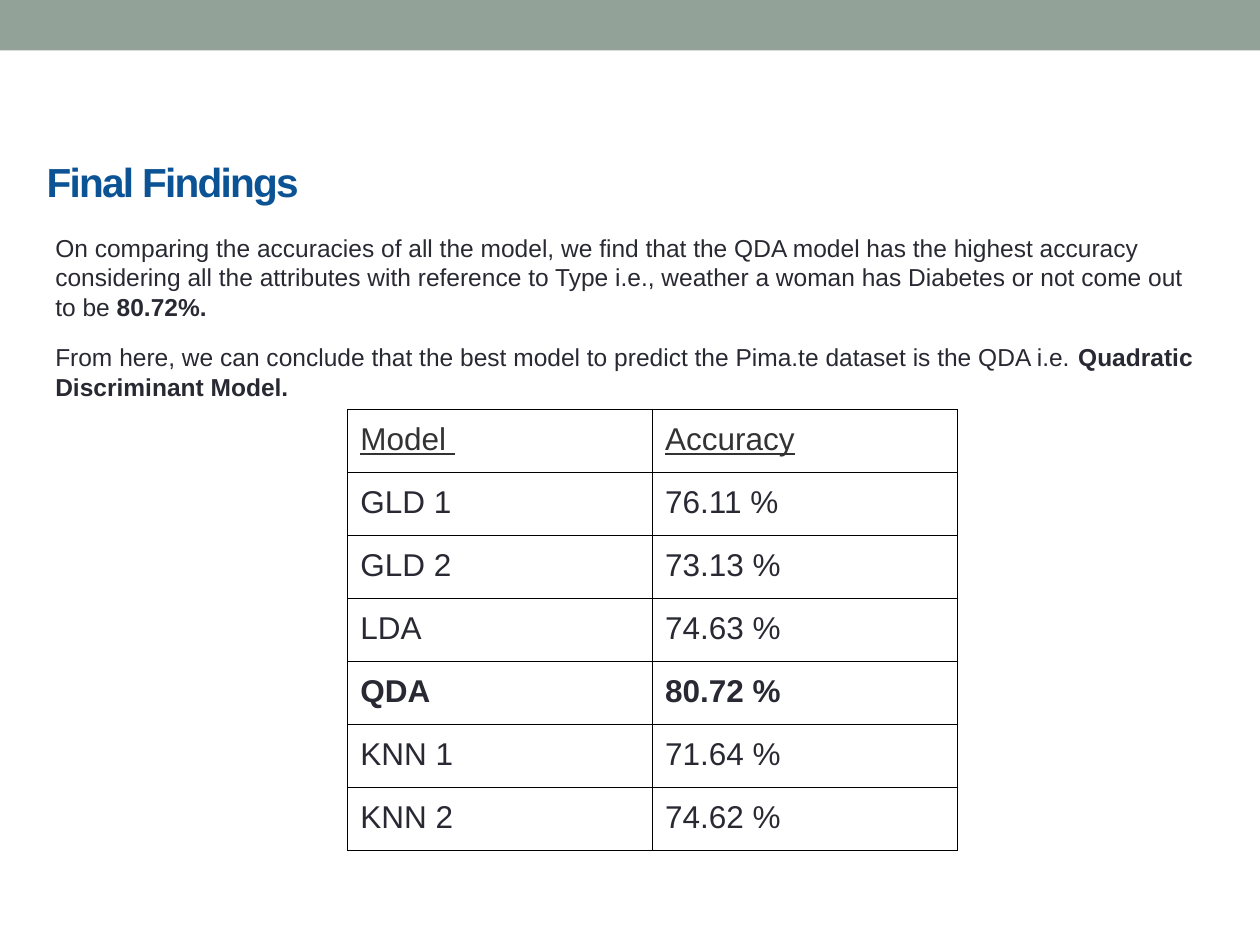
from dataclasses import dataclass

from lxml.etree import SubElement
from pptx import Presentation
from pptx.dml.color import RGBColor
from pptx.enum.shapes import MSO_SHAPE
from pptx.enum.text import MSO_ANCHOR, MSO_AUTO_SIZE, PP_ALIGN
from pptx.oxml.ns import qn
from pptx.util import Inches, Pt


@dataclass(frozen=True)
class Theme:
    font: str = "Arial"
    band: RGBColor = RGBColor(0x93, 0xA2, 0x99)
    title: RGBColor = RGBColor(0x0B, 0x53, 0x94)
    text: RGBColor = RGBColor(0x29, 0x29, 0x34)
    header: RGBColor = RGBColor(0x33, 0x33, 0x33)
    border: str = "000000"
    title_size: float = 23.2
    body_size: float = 14
    table_size: float = 18
    border_width: float = 0.75
    inset: float = 0.1


@dataclass(frozen=True)
class Finding:
    statement: str
    highlight: str


@dataclass(frozen=True)
class ModelRow:
    model: str
    accuracy: str
    bold: bool = False
    header: bool = False


THEME = Theme()
FINDINGS = [
    Finding(
        "On comparing the accuracies of all the model, we find that the QDA model "
        "has the highest accuracy considering all the attributes with reference to "
        "Type i.e., weather a woman has Diabetes or not come out to be ",
        "80.72%.",
    ),
    Finding(
        "From here, we can conclude that the best model to predict the Pima.te "
        "dataset is the QDA i.e. ",
        "Quadratic Discriminant Model.",
    ),
]
MODEL_ROWS = [
    ModelRow("Model ", "Accuracy", header=True),
    ModelRow("GLD 1", "76.11 %"),
    ModelRow("GLD 2", "73.13 %"),
    ModelRow("LDA", "74.63 %"),
    ModelRow("QDA", "80.72 %", bold=True),
    ModelRow("KNN 1", "71.64 %"),
    ModelRow("KNN 2", "74.62 %"),
]


def set_insets(holder) -> None:
    holder.margin_left = holder.margin_right = Inches(THEME.inset)
    holder.margin_top = holder.margin_bottom = Inches(THEME.inset)


def style_font(font, size: float, color: RGBColor) -> None:
    font.name = THEME.font
    font.size = Pt(size)
    font.color.rgb = color


def add_band(slide, width: int) -> None:
    band = slide.shapes.add_shape(MSO_SHAPE.RECTANGLE, 0, 0, width, Inches(0.4))
    band.shadow.inherit = False
    band.fill.solid()
    band.fill.fore_color.rgb = THEME.band
    band.line.fill.background()


def format_title(slide, text: str) -> None:
    title = slide.shapes.title
    title.left, title.top = Inches(0.27), Inches(1.12)
    title.width, title.height = Inches(9.32), Inches(0.63)
    frame = title.text_frame
    frame.text = text
    frame.auto_size = MSO_AUTO_SIZE.NONE
    frame.vertical_anchor = MSO_ANCHOR.MIDDLE
    set_insets(frame)
    paragraph = frame.paragraphs[0]
    paragraph.alignment = PP_ALIGN.LEFT
    style_font(paragraph.font, THEME.title_size, THEME.title)
    paragraph.font.bold = True
    paragraph.runs[0].font._element.set("spc", "-100")


def add_findings(slide, findings: list[Finding]) -> None:
    box = slide.shapes.add_textbox(Inches(0.34), Inches(1.75), Inches(9.32), Inches(4.64))
    frame = box.text_frame
    frame.word_wrap = True
    set_insets(frame)
    for index, finding in enumerate(findings):
        paragraph = frame.add_paragraph() if index else frame.paragraphs[0]
        if index:
            paragraph.space_before = Pt(12)
        style_font(paragraph.font, THEME.body_size, THEME.text)
        paragraph.add_run().text = finding.statement
        highlight = paragraph.add_run()
        highlight.text = finding.highlight
        highlight.font.bold = True


def add_borders(cell) -> None:
    properties = cell._tc.get_or_add_tcPr()
    for side in ("a:lnL", "a:lnR", "a:lnT", "a:lnB"):
        line = SubElement(properties, qn(side), w=str(Pt(THEME.border_width)))
        fill = SubElement(line, qn("a:solidFill"))
        SubElement(fill, qn("a:srgbClr"), val=THEME.border)


def fill_cell(cell, text: str, row: ModelRow) -> None:
    cell.text = text
    set_insets(cell)
    add_borders(cell)
    cell.fill.background()
    font = cell.text_frame.paragraphs[0].font
    style_font(font, THEME.table_size, THEME.header if row.header else THEME.text)
    font.bold = row.bold
    font.underline = row.header


def add_accuracy_table(slide, rows: list[ModelRow]) -> None:
    row_height = Inches(0.48)
    table = slide.shapes.add_table(
        len(rows), 2, Inches(2.76), Inches(3.25), Inches(4.84), row_height * len(rows)
    ).table
    table.first_row = False
    table.horz_banding = False
    for index, row in enumerate(rows):
        table.rows[index].height = row_height
        for column, text in enumerate((row.model, row.accuracy)):
            fill_cell(table.cell(index, column), text, row)


def main() -> None:
    presentation = Presentation()
    presentation.slide_width = Inches(10)
    presentation.slide_height = Inches(7.5)
    slide = presentation.slides.add_slide(presentation.slide_layouts[5])
    add_band(slide, presentation.slide_width)
    format_title(slide, "Final Findings")
    add_findings(slide, FINDINGS)
    add_accuracy_table(slide, MODEL_ROWS)
    presentation.save("out.pptx")


if __name__ == "__main__":
    main()
